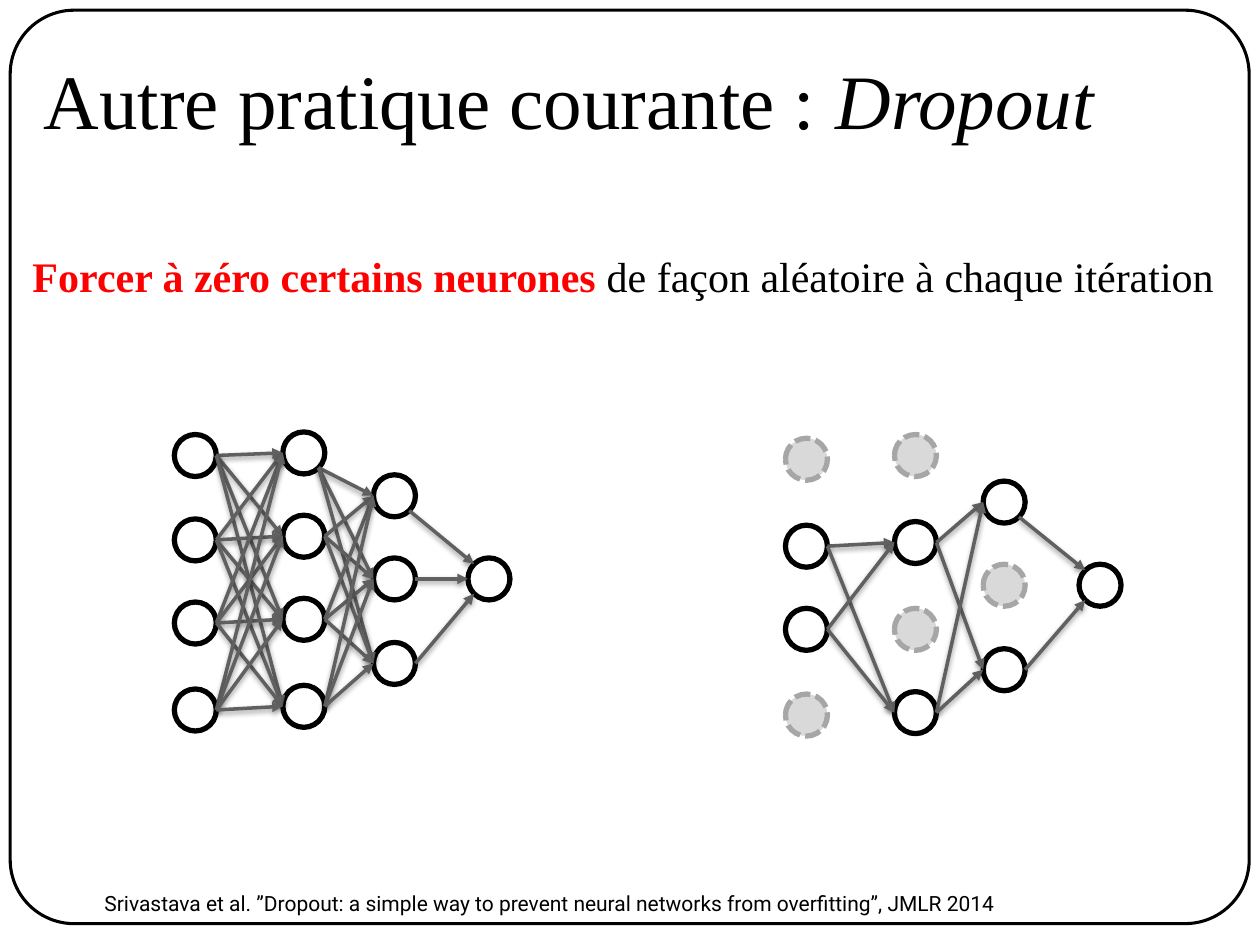
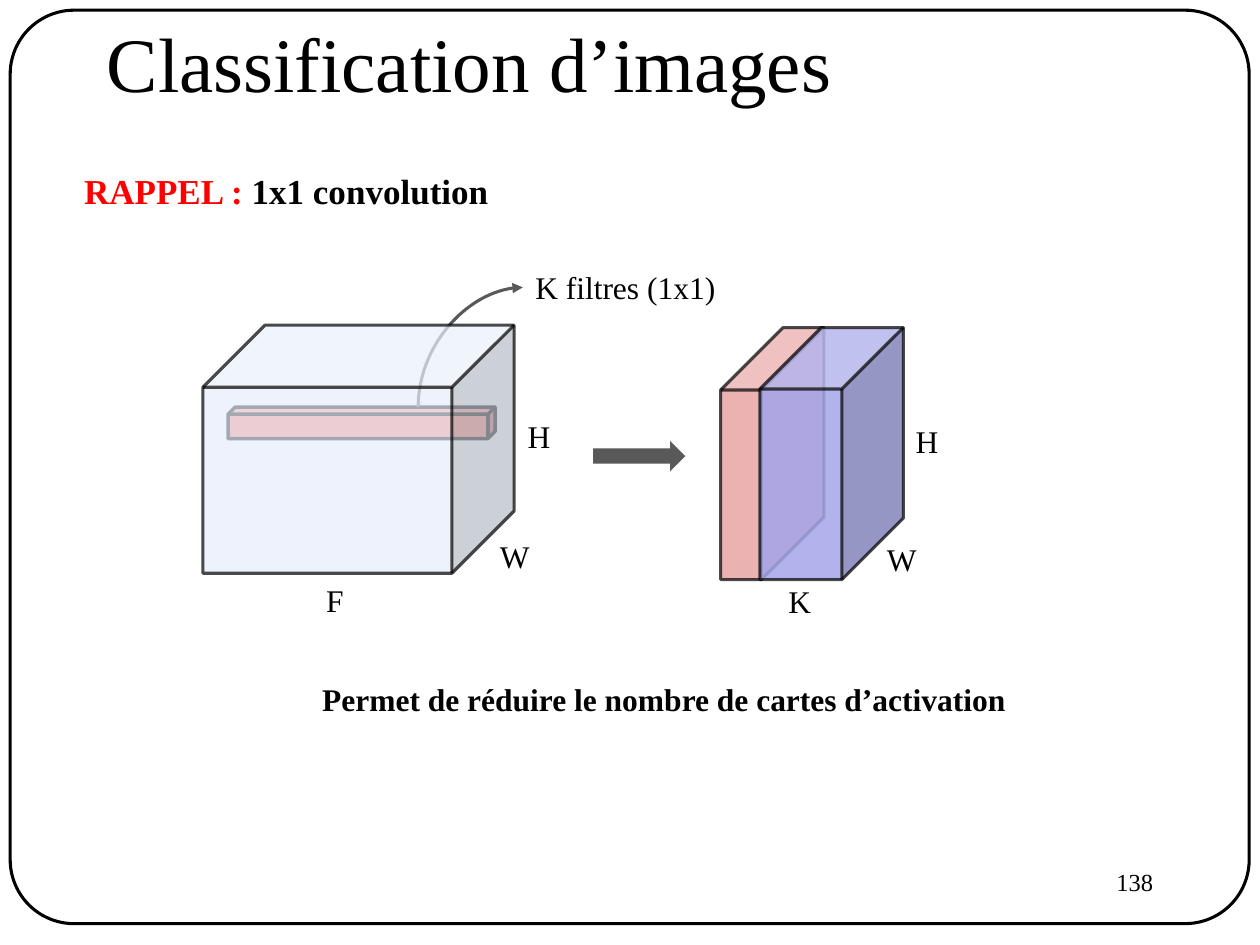
"""Build two slides on dropout and on 1x1 convolution."""
from dataclasses import dataclass
from itertools import product
from math import sqrt

from lxml.etree import SubElement
from pptx import Presentation
from pptx.dml.color import RGBColor
from pptx.enum.dml import MSO_LINE
from pptx.enum.shapes import MSO_CONNECTOR, MSO_SHAPE
from pptx.enum.text import MSO_ANCHOR, PP_ALIGN
from pptx.oxml.ns import qn
from pptx.util import Pt


@dataclass(frozen=True)
class Theme:
    font: str = "Times New Roman"
    citation_font: str = "Roboto"
    ink: str = "000000"
    accent: str = "FF0000"
    paper: str = "FFFFFF"
    edge: str = "606060"
    arrow: str = "595959"
    dropped_fill: str = "D9D9D9"
    dropped_line: str = "A6A6A6"
    input_volume: str = "E6EEFB"
    filter_volume: str = "FF7E75"
    back_volume: str = "C00000"
    output_volume: str = "A5A5E9"
    title: int = 44
    lead: int = 24
    heading: int = 20
    label: int = 18
    number: int = 14
    citation: int = 12
    outline: float = 1.75
    edge_width: float = 2
    neuron_width: float = 3


THEME = Theme()
NEURON = 24
RADIUS = NEURON / 2
DIAGONAL = RADIUS / sqrt(2)

FULL_NETWORK = [
    (111.6, [260.3, 308.5, 356, 405.7]),
    (173.6, [258.8, 306.4, 353.9, 403.6]),
    (225.4, [283.3, 330.8, 379.1]),
    (279.4, [330.8]),
]
DROPOUT_NETWORK = [
    (460.8, [262.4, 312.1, 359.6, 408.6]),
    (523.1, [260.3, 310, 359.6, 407.2]),
    (573.8, [286.9, 334.4, 382.7]),
    (628.6, [334.4]),
]
DROPPED = {(0, 0), (0, 3), (1, 0), (1, 2), (2, 1)}


def color(value):
    return RGBColor.from_string(value)


def set_alpha(fill_parent, percent):
    """Make the solid fill below the given element partly transparent."""
    solid = fill_parent.find(qn("a:solidFill"))
    SubElement(solid[0], qn("a:alpha"), val=str(percent * 1000))


def add_text(page, bounds, spans, size, font=THEME.font, align=PP_ALIGN.LEFT,
             anchor=MSO_ANCHOR.TOP, wrap=True):
    """Add one paragraph made of (text, colour, bold, italic) spans."""
    box = page.shapes.add_textbox(*map(Pt, bounds))
    frame = box.text_frame
    frame.word_wrap = wrap
    frame.vertical_anchor = anchor
    para = frame.paragraphs[0]
    para.alignment = align
    for text, ink, bold, italic in spans:
        span = para.add_run()
        span.text = text
        span.font.name = font
        span.font.size = Pt(size)
        span.font.bold = bold
        span.font.italic = italic
        span.font.color.rgb = color(ink)


def plain(text, ink=THEME.ink, bold=False, italic=False):
    return text, ink, bold, italic


def add_title(page, bounds, *spans):
    add_text(page, bounds, spans, THEME.title, anchor=MSO_ANCHOR.MIDDLE)


def add_label(page, left, top, text, width=42):
    add_text(page, (left, top, width, 28.8), [plain(text)], THEME.label)


def add_figure(shapes, kind, bounds, fill=None, line=None, width=THEME.outline):
    """Add a flat preset shape, with no fill or line unless one is given."""
    figure = shapes.add_shape(kind, *map(Pt, bounds))
    figure.shadow.inherit = False
    if fill:
        figure.fill.solid()
        figure.fill.fore_color.rgb = color(fill)
    else:
        figure.fill.background()
    if line:
        figure.line.color.rgb = color(line)
        figure.line.width = Pt(width)
    else:
        figure.line.fill.background()
    return figure


def add_page(deck):
    """Add a blank page with the rounded frame."""
    page = deck.slides.add_slide(deck.slide_layouts[6])
    frame = add_figure(page.shapes, MSO_SHAPE.ROUNDED_RECTANGLE,
                       (5.8, 5.8, 708, 522), line=THEME.ink)
    frame.adjustments[0] = 0.07
    return page


def add_arrow(shapes, kind, start, end, ink, width):
    """Add a connector with an arrowhead and an empty effect list."""
    arrow = shapes.add_connector(kind, *map(Pt, (*start, *end)))
    arrow.line.color.rgb = color(ink)
    arrow.line.width = Pt(width)
    properties = arrow._element.spPr
    SubElement(properties.find(qn("a:ln")), qn("a:tailEnd"), type="triangle")
    SubElement(properties, qn("a:effectLst"))
    return arrow


def add_edge(shapes, start, end):
    """Add an arrow between neurons with a soft shadow below it."""
    edge = add_arrow(shapes, MSO_CONNECTOR.STRAIGHT, start, end,
                     THEME.edge, THEME.edge_width)
    effects = edge._element.spPr.find(qn("a:effectLst"))
    shadow = SubElement(effects, qn("a:outerShdw"), blurRad="40000",
                        dist="20000", dir="5400000", rotWithShape="0")
    shade = SubElement(shadow, qn("a:srgbClr"), val=THEME.ink)
    SubElement(shade, qn("a:alpha"), val="38000")


def add_curve(page, start, end):
    """Add a quarter curve that leaves upwards and arrives to the right."""
    middle_x, middle_y = (start[0] + end[0]) / 2, (start[1] + end[1]) / 2
    half_x, half_y = (end[0] - start[0]) / 2, (start[1] - end[1]) / 2
    curve = add_arrow(page.shapes, MSO_CONNECTOR.CURVE,
                      (middle_x + half_y, middle_y + half_x),
                      (middle_x - half_y, middle_y - half_x),
                      THEME.arrow, THEME.outline)
    properties = curve._element.spPr
    properties.find(qn("a:xfrm")).set("rot", "5400000")
    properties.find(qn("a:prstGeom")).set("prst", "curvedConnector2")


def add_neuron(shapes, x, y, dropped):
    fill = THEME.dropped_fill if dropped else THEME.paper
    line = THEME.dropped_line if dropped else THEME.ink
    neuron = add_figure(shapes, MSO_SHAPE.OVAL,
                        (x - RADIUS, y - RADIUS, NEURON, NEURON),
                        fill, line, THEME.neuron_width)
    if dropped:
        neuron.line.dash_style = MSO_LINE.SQUARE_DOT


def edge_ends(layer, following, row, target):
    """Return the two points where an edge touches its neurons."""
    (x, rows), (next_x, next_rows) = layer, following
    y, next_y = rows[row], next_rows[target]
    start, end = (x + RADIUS, y), (next_x - RADIUS, next_y)
    if row == 0 and len(next_rows) < len(rows):
        start = x + DIAGONAL, y + DIAGONAL
    if len(next_rows) == 1 and y != next_y:
        offset = DIAGONAL if y > next_y else -DIAGONAL
        end = next_x - DIAGONAL, next_y + offset
    return start, end


def add_network(page, layers, dropped=frozenset()):
    """Draw all neurons and join the active ones of successive layers."""
    shapes = page.shapes.add_group_shape().shapes
    for depth, (x, rows) in enumerate(layers):
        for row, y in enumerate(rows):
            add_neuron(shapes, x, y, (depth, row) in dropped)
    for depth, (layer, following) in enumerate(zip(layers, layers[1:])):
        for row, target in product(range(len(layer[1])), range(len(following[1]))):
            if not {(depth, row), (depth + 1, target)} & dropped:
                add_edge(shapes, *edge_ends(layer, following, row, target))


def add_volume(page, bounds, fill, depth, alpha=None, line_alpha=None,
               width=THEME.outline):
    """Add a cube whose receding side is depth points long."""
    cube = add_figure(page.shapes, MSO_SHAPE.CUBE, bounds, fill, THEME.ink, width)
    cube.adjustments[0] = depth / min(bounds[2:])
    properties = cube._element.spPr
    if alpha:
        set_alpha(properties, alpha)
    if line_alpha:
        set_alpha(properties.find(qn("a:ln")), line_alpha)


def build_dropout(deck):
    page = add_page(deck)
    add_title(page, (18, 11.5, 680, 90), plain("Autre pratique courante : "),
              plain("Dropout", italic=True))
    add_network(page, FULL_NETWORK)
    add_network(page, DROPOUT_NETWORK, DROPPED)
    add_text(page, (11.5, 139.7, 695.5, 36),
             [plain("Forcer à zéro certains neurones ", THEME.accent, True),
              plain("de façon aléatoire à chaque itération")],
             THEME.lead, wrap=False)
    add_text(page, (52.6, 505.4, 592.6, 21.6),
             [plain("Srivastava et al. ”Dropout: a simple way to prevent neural "
                    "networks from overfitting”, JMLR 2014")],
             THEME.citation, THEME.citation_font)


def build_convolution(deck):
    page = add_page(deck)
    add_title(page, (54, -10, 612, 90), plain("Classification d’images"))
    add_text(page, (516.2, 491.8, 149.8, 36), [plain("138")],
             THEME.number, align=PP_ALIGN.RIGHT)
    add_text(page, (41, 93.6, 247.7, 31.7),
             [plain("RAPPEL : ", THEME.accent, True),
              plain("1x1 convolution", bold=True)], THEME.heading, wrap=False)
    add_text(page, (116, 385.2, 527, 28.8),
             [plain("Permet de réduire le nombre de cartes d’activation", bold=True)],
             THEME.label, align=PP_ALIGN.CENTER)

    add_volume(page, (411.8, 187.2, 59, 144), THEME.back_volume, 35.7, 30, 71)
    add_volume(page, (130.3, 232.6, 152.6, 18), THEME.filter_volume, 4.1, width=2)
    add_curve(page, (239, 232.6), (298.8, 164.2))
    add_volume(page, (434.2, 187.2, 82, 144), THEME.output_volume, 35.1, 85, 71)
    add_figure(page.shapes, MSO_SHAPE.RIGHT_ARROW, (339, 252, 52.6, 17.3), THEME.arrow)
    add_volume(page, (116, 185.8, 177.8, 141.8), THEME.input_volume, 35.5, 71, 71)

    add_label(page, 298.8, 149.8, "K filtres (1x1)", 125.3)
    for left, top, text in [(278.6, 303.1, "W"), (294.5, 234.7, "H"),
                            (179.3, 328.3, "F"), (499.7, 305.3, "W"),
                            (516.2, 237.6, "H"), (443.5, 329, "K")]:
        add_label(page, left, top, text)


def main():
    deck = Presentation()
    deck.slide_width, deck.slide_height = Pt(720), Pt(540)
    build_dropout(deck)
    build_convolution(deck)
    deck.save("out.pptx")


if __name__ == "__main__":
    main()
